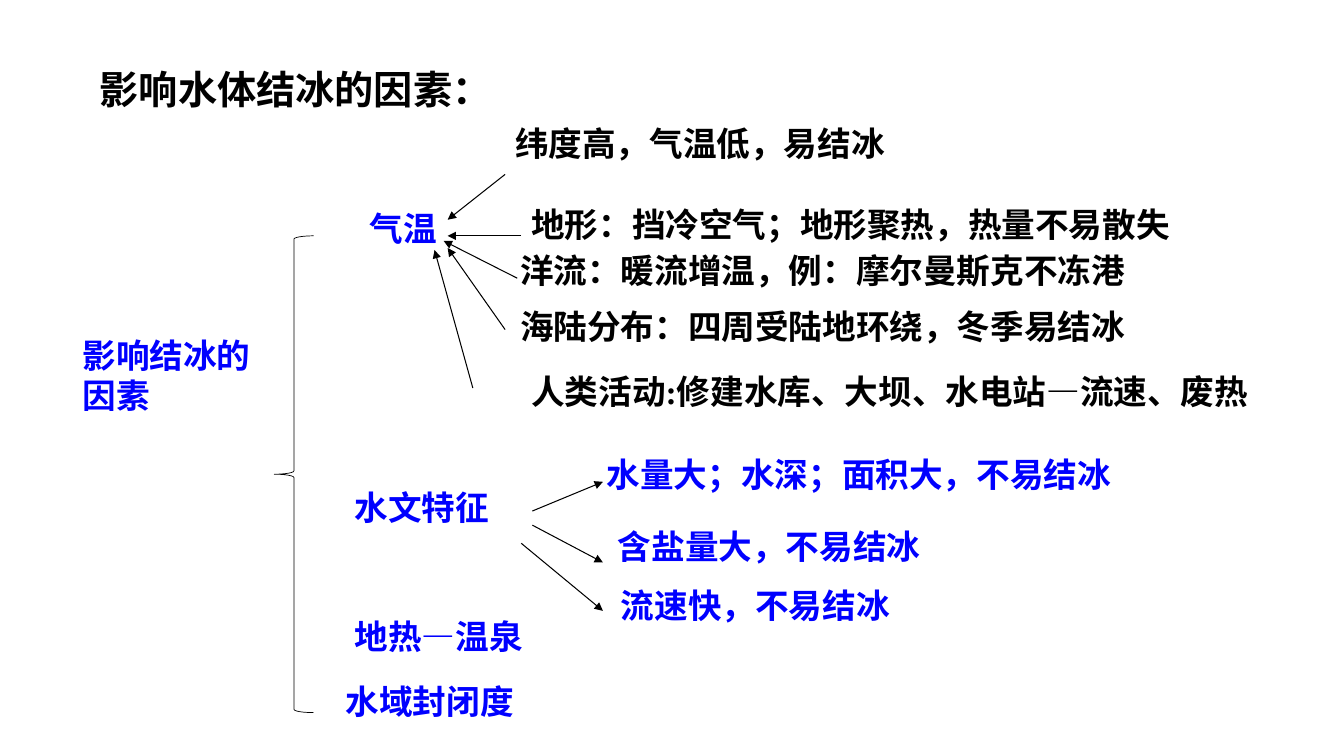
from typing import NamedTuple

from lxml import etree
from pptx import Presentation
from pptx.dml.color import RGBColor
from pptx.enum.shapes import MSO_CONNECTOR, MSO_SHAPE
from pptx.enum.text import MSO_ANCHOR, MSO_AUTO_SIZE, PP_ALIGN
from pptx.oxml.ns import qn
from pptx.util import Pt

STRAIGHT = MSO_CONNECTOR.STRAIGHT
BRACE = MSO_SHAPE.LEFT_BRACE
TOP = MSO_ANCHOR.TOP
FIXED = MSO_AUTO_SIZE.NONE
LEFT = PP_ALIGN.LEFT

BLACK = RGBColor(0, 0, 0)
BLUE = RGBColor(0, 0, 255)
SCALE = 9144
TIMES = "Times New Roman"
CALIBRI = "Calibri"


class Label(NamedTuple):
    text: str
    x: int
    y: int
    w: int
    h: int = 80
    color: RGBColor = BLUE
    font: str = TIMES
    size: int = 24


class Arrow(NamedTuple):
    x1: int
    y1: int
    x2: int
    y2: int


TITLE = Label("影响水体结冰的因素：", 89, 60, 700, 57, BLACK, CALIBRI, 28)

LABELS = [
    Label("影响结冰的\n因素", 72, 327, 190, 198),
    Label("气温", 357, 201, 150, 102),
    Label("纬度高，气温低，易结冰", 501, 117, 486, color=BLACK),
    Label("地形：挡冷空气；地形聚热，热量不易散失", 517, 197, 782, color=BLACK),
    Label("洋流：暖流增温，例：摩尔曼斯克不冻港", 506, 243, 782, color=BLACK),
    Label("海陆分布：四周受陆地环绕，冬季易结冰", 506, 299, 782, color=BLACK),
    Label("人类活动:修建水库、大坝、水电站—流速、废热", 517, 363, 782, color=BLACK),
    Label("水文特征", 342, 478, 204),
    Label("水量大；水深；面积大，不易结冰", 592, 445, 664),
    Label("含盐量大，不易结冰", 603, 517, 664),
    Label("流速快，不易结冰", 606, 575, 664),
    Label("地热—温泉", 342, 606, 312, 49),
    Label("水域封闭度", 333, 671, 286, 50, font=CALIBRI),
]

ARROWS = [
    Arrow(501, 173, 444, 218),
    Arrow(517, 234, 444, 234),
    Arrow(513, 276, 440, 239),
    Arrow(501, 327, 444, 246),
    Arrow(469, 385, 431, 248),
    Arrow(528, 507, 598, 478),
    Arrow(528, 521, 598, 558),
    Arrow(517, 539, 598, 606),
]


def px(*sizes: int) -> list[int]:
    return [size * SCALE for size in sizes]


def write(shape, label: Label) -> None:
    shape.left, shape.top, shape.width, shape.height = px(
        label.x, label.y, label.w, label.h
    )
    frame = shape.text_frame
    frame.text = label.text
    frame.word_wrap = True
    frame.auto_size = FIXED
    frame.vertical_anchor = TOP
    for para in frame.paragraphs:
        para.alignment = LEFT
        for run in para.runs:
            run.font.name = label.font
            run.font.size = Pt(label.size)
            run.font.bold = True
            run.font.color.rgb = label.color


def draw_arrow(slide, arrow: Arrow) -> None:
    line = slide.shapes.add_connector(STRAIGHT, *px(*arrow))
    line.line.color.rgb = BLACK
    line.line.width = Pt(0.75)
    etree.SubElement(line.line._get_or_add_ln(), qn("a:tailEnd"), type="triangle")
    etree.SubElement(line._element.spPr, qn("a:effectLst"))


def draw_brace(slide) -> None:
    brace = slide.shapes.add_shape(BRACE, *px(272, 234, 39, 473))
    brace.shadow.inherit = False
    brace.fill.background()
    brace.line.color.rgb = BLACK
    brace.line.width = Pt(0.5)


def main() -> None:
    deck = Presentation()
    deck.slide_width, deck.slide_height = px(1333, 750)
    slide = deck.slides.add_slide(deck.slide_layouts[5])
    write(slide.shapes.title, TITLE)
    for arrow in ARROWS:
        draw_arrow(slide, arrow)
    for label in LABELS:
        box = slide.shapes.add_textbox(*px(label.x, label.y, label.w, label.h))
        write(box, label)
    draw_brace(slide)
    deck.save("out.pptx")


if __name__ == "__main__":
    main()
